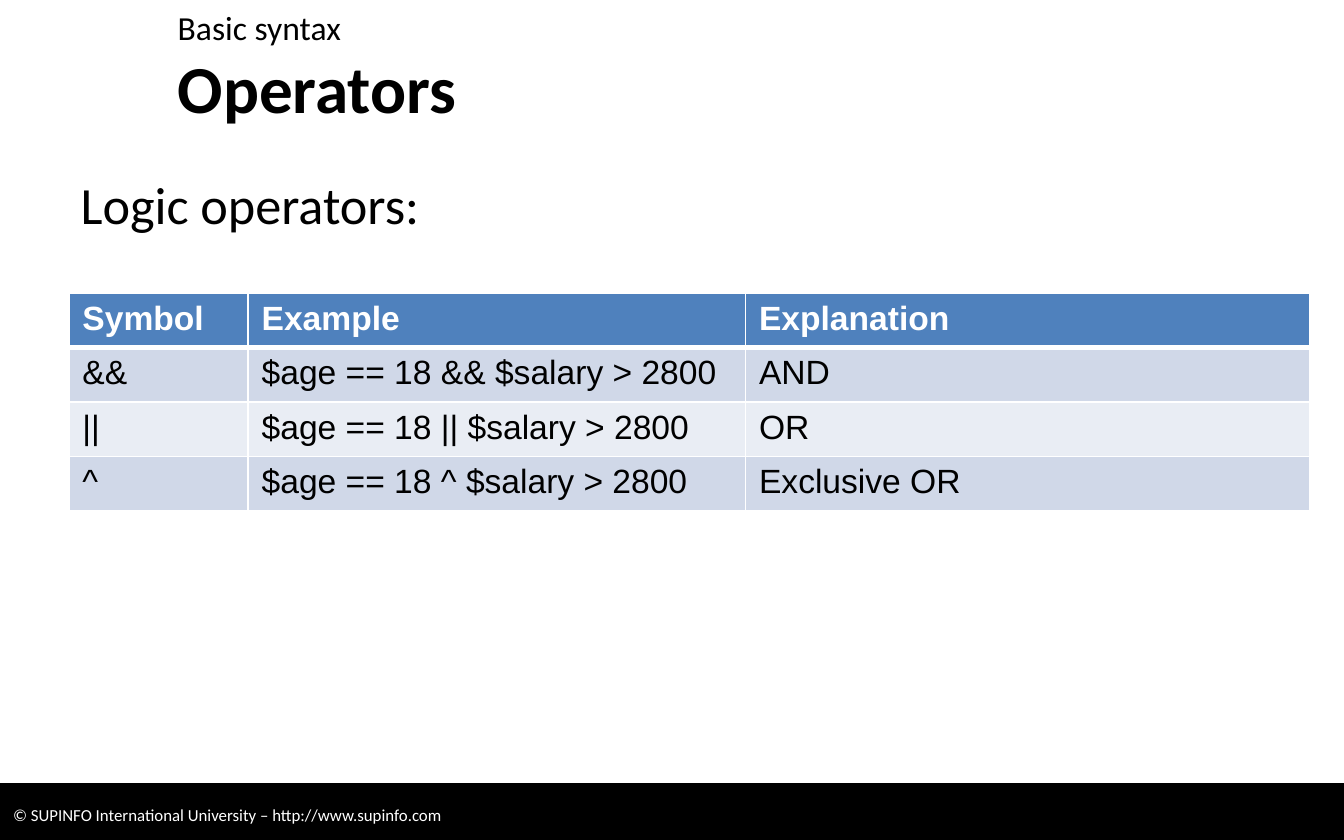
from lxml import etree
from pptx import Presentation
from pptx.dml.color import RGBColor
from pptx.enum.shapes import MSO_SHAPE
from pptx.enum.text import MSO_ANCHOR, MSO_AUTO_SIZE, PP_ALIGN
from pptx.oxml.ns import qn
from pptx.util import Pt

RECTANGLE = MSO_SHAPE.RECTANGLE
TOP, MIDDLE = MSO_ANCHOR.TOP, MSO_ANCHOR.MIDDLE
NO_AUTOFIT = MSO_AUTO_SIZE.NONE
LEFT = PP_ALIGN.LEFT

BLACK = RGBColor(0x00, 0x00, 0x00)
WHITE = RGBColor(0xFF, 0xFF, 0xFF)
HEADER_BLUE = RGBColor(0x4F, 0x81, 0xBD)
BAND_DARK = RGBColor(0xD0, 0xD8, 0xE8)
BAND_LIGHT = RGBColor(0xE9, 0xED, 0xF4)

TWO_CONTENT_LAYOUT = 3
COLUMN_WIDTHS = (96, 266.5, 302)
ROW_HEIGHT = 29.2
OPERATORS = (
    ("Symbol", "Example", "Explanation"),
    ("&&", "$age == 18 && $salary > 2800", "AND"),
    ("||", "$age == 18 || $salary > 2800", "OR"),
    ("^", "$age == 18 ^ $salary > 2800", "Exclusive OR"),
)


def style_font(para, name, size, color, bold=False):
    font = para.font
    font.name, font.size, font.bold = name, Pt(size), bold
    font.color.rgb = color


def fill_placeholder(box, place, text, size, anchor=TOP, bold=False):
    """Move a placeholder and give it one unbulleted line of text."""
    box.left, box.top, box.width, box.height = map(Pt, place)
    frame = box.text_frame
    frame.text = text
    frame.word_wrap = True
    frame.auto_size = NO_AUTOFIT
    frame.vertical_anchor = anchor
    para = frame.paragraphs[0]
    para.alignment = LEFT
    para.space_before = Pt(0)
    properties = para._p.get_or_add_pPr()
    properties.set("marL", "0")
    properties.set("indent", "0")
    etree.SubElement(properties, qn("a:buNone"))
    style_font(para, "Calibri", size, BLACK, bold)


def add_footer(page, text):
    bar = page.shapes.add_shape(RECTANGLE, Pt(0), Pt(420), Pt(720), Pt(32.4))
    bar.shadow.inherit = False
    bar.fill.solid()
    bar.fill.fore_color.rgb = BLACK
    bar.line.color.rgb = BLACK
    bar.line.width = Pt(0.75)
    bar.text_frame.text = text
    bar.text_frame.word_wrap = True
    bar.text_frame.vertical_anchor = MIDDLE
    para = bar.text_frame.paragraphs[0]
    para.alignment = LEFT
    style_font(para, "Calibri", 9, WHITE)


def set_borders(cell, top, bottom):
    """Draw white borders; side borders are one point wide."""
    properties = cell._tc.get_or_add_tcPr()
    for tag, width in (("lnL", 1), ("lnR", 1), ("lnT", top), ("lnB", bottom)):
        line = etree.SubElement(properties, qn("a:" + tag), w=str(Pt(width)))
        fill = etree.SubElement(line, qn("a:solidFill"))
        etree.SubElement(fill, qn("a:srgbClr"), val=str(WHITE))


def add_operator_table(page):
    table = page.shapes.add_table(
        len(OPERATORS), len(COLUMN_WIDTHS), Pt(37), Pt(157),
        Pt(sum(COLUMN_WIDTHS)), Pt(ROW_HEIGHT * len(OPERATORS))).table
    for column, width in zip(table.columns, COLUMN_WIDTHS):
        column.width = Pt(width)
    for row_index, texts in enumerate(OPERATORS):
        table.rows[row_index].height = Pt(ROW_HEIGHT)
        header = row_index == 0
        band = BAND_DARK if row_index % 2 else BAND_LIGHT
        for column_index, text in enumerate(texts):
            cell = table.cell(row_index, column_index)
            cell.text = text
            set_borders(cell, 3 if row_index == 1 else 1, 3 if header else 1)
            cell.fill.solid()
            cell.fill.fore_color.rgb = HEADER_BLUE if header else band
            style_font(cell.text_frame.paragraphs[0], "Arial", 18,
                       WHITE if header else BLACK, header)


def main():
    deck = Presentation()
    deck.slide_width, deck.slide_height = Pt(720), Pt(450)
    page = deck.slides.add_slide(deck.slide_layouts[TWO_CONTENT_LAYOUT])
    title, section, body = page.placeholders

    # Headings and lead-in
    fill_placeholder(title, (88, 26.6, 612.7, 39.6), "Operators", 36,
                     MIDDLE, True)
    fill_placeholder(section, (88, 0, 612.7, 26.6), "Basic syntax", 18)
    fill_placeholder(body, (36, 88.6, 664.5, 333.4), "Logic operators:", 28)

    # Table and copyright bar
    add_operator_table(page)
    add_footer(page,
               "© SUPINFO International University – http://www.supinfo.com")
    deck.save("out.pptx")


if __name__ == "__main__":
    main()
